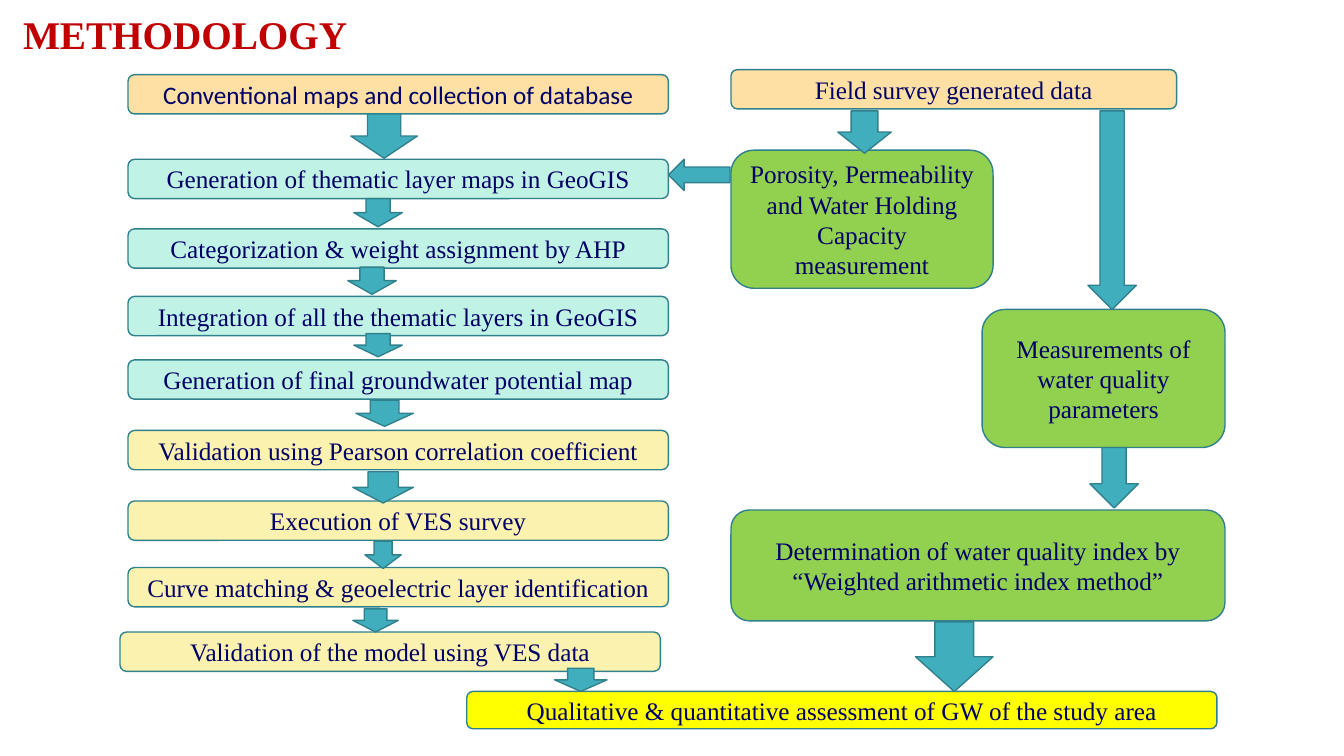
from pptx import Presentation
from pptx.dml.color import RGBColor
from pptx.enum.shapes import MSO_SHAPE as Preset
from pptx.enum.text import MSO_ANCHOR as Anchor, MSO_AUTO_SIZE as AutoSize, PP_ALIGN as Align
from pptx.util import Inches, Pt

CELL = Inches(0.1)
SERIF = "Times New Roman"

RED = RGBColor(0xC0, 0x00, 0x00)
NAVY = RGBColor(0x00, 0x00, 0x66)
TEAL = RGBColor(0x41, 0xAE, 0xBD)
DARK_TEAL = RGBColor(0x30, 0x81, 0x8C)
PEACH = RGBColor(0xFE, 0xE0, 0xA4)
MINT = RGBColor(0xC1, 0xF2, 0xE6)
CREAM = RGBColor(0xFB, 0xF2, 0xB0)
GREEN = RGBColor(0x92, 0xD0, 0x50)
YELLOW = RGBColor(0xFF, 0xFF, 0x00)

STEP_COLUMN, STEP_WIDTH, STEP_HEIGHT = 12.7, 53.6, 3.9
MAPPING_STEPS = [
    (15.8, "Generation of thematic layer maps in GeoGIS", MINT),
    (22.7, "Categorization & weight assignment by AHP", MINT),
    (29.4, "Integration of all the thematic layers in GeoGIS", MINT),
    (35.7, "Generation of final groundwater potential map", MINT),
    (42.7, "Validation using Pearson correlation coefficient", CREAM),
    (49.7, "Execution of VES survey", CREAM),
    (56.3, "Curve matching & geoelectric layer identification", CREAM),
]
OTHER_STEPS = [
    ((11.9, 62.7, STEP_WIDTH, STEP_HEIGHT), "Validation of the model using VES data", CREAM),
    ((72.5, 6.9, 44.2, STEP_HEIGHT), "Field survey generated data", PEACH),
    ((72.5, 14.9, 26, 13.7),
     "Porosity, Permeability and Water Holding Capacity measurement", GREEN),
    ((97.4, 30.7, 24.1, 13.7), "Measurements of water quality parameters", GREEN),
    ((72.5, 50.6, 49, 11),
     "Determination of water quality index by “Weighted arithmetic index method”", GREEN),
    ((46.3, 68.6, 74.4, 3.7),
     "Qualitative & quantitative assessment of GW of the study area", YELLOW),
]
DOWN_ARROWS = [
    (34.8, 11.3, 6.6, 4.4),
    (35.1, 19.7, 4.8, 2.8),
    (34.5, 26.5, 4.8, 2.7),
    (35.1, 33.1, 4.8, 2.3),
    (35.3, 39.7, 5.7, 2.6),
    (35, 46.8, 6, 3.1),
    (36.2, 53.7, 3.6, 2.7),
    (35, 60.4, 4.5, 2.3),
    (55, 66.3, 5.2, 2.3),
    (83.1, 11, 5.3, 4.2),
    (107.9, 11, 4.8, 19.7),
    (108.1, 44.4, 4.8, 6),
    (90.8, 61.7, 7.7, 6.9),
]


def on_grid(place):
    return [round(cells * CELL) for cells in place]


def write(frame, text, *, size=18, font=SERIF, color=NAVY, bold=False, align=Align.CENTER):
    para = frame.paragraphs[0]
    para.alignment = align
    span = para.add_run()
    span.text = text
    span.font.size = Pt(size)
    span.font.name = font
    span.font.color.rgb = color
    span.font.bold = bold


def add_block(page, preset, place, fill):
    block = page.shapes.add_shape(preset, *on_grid(place))
    block.shadow.inherit = False
    block.fill.solid()
    block.fill.fore_color.rgb = fill
    block.line.color.rgb = DARK_TEAL
    block.line.width = Pt(1)
    return block


def add_step(page, place, text, fill, **text_format):
    frame = add_block(page, Preset.ROUNDED_RECTANGLE, place, fill).text_frame
    frame.word_wrap = True
    frame.vertical_anchor = Anchor.MIDDLE
    write(frame, text, **text_format)


def add_title(page, place, text):
    frame = page.shapes.add_textbox(*on_grid(place)).text_frame
    frame.word_wrap = True
    frame.auto_size = AutoSize.SHAPE_TO_FIT_TEXT
    write(frame, text, size=28, color=RED, bold=True, align=Align.LEFT)


def main():
    deck = Presentation()
    deck.slide_width, deck.slide_height = Inches(13.33), Inches(7.5)
    page = deck.slides.add_slide(deck.slide_layouts[6])
    add_title(page, (1.3, 0.5, 38.5, 5.7), "METHODOLOGY")
    add_step(page, (STEP_COLUMN, 7.4, STEP_WIDTH, STEP_HEIGHT),
             "Conventional maps and collection of database", PEACH, font="Calibri")
    for row, text, fill in MAPPING_STEPS:
        add_step(page, (STEP_COLUMN, row, STEP_WIDTH, STEP_HEIGHT), text, fill)
    for place, text, fill in OTHER_STEPS:
        add_step(page, place, text, fill)
    for place in DOWN_ARROWS:
        add_block(page, Preset.DOWN_ARROW, place, TEAL)
    add_block(page, Preset.LEFT_ARROW, (66.3, 15.8, 6.1, 3.1), TEAL)
    deck.save("out.pptx")


if __name__ == "__main__":
    main()
